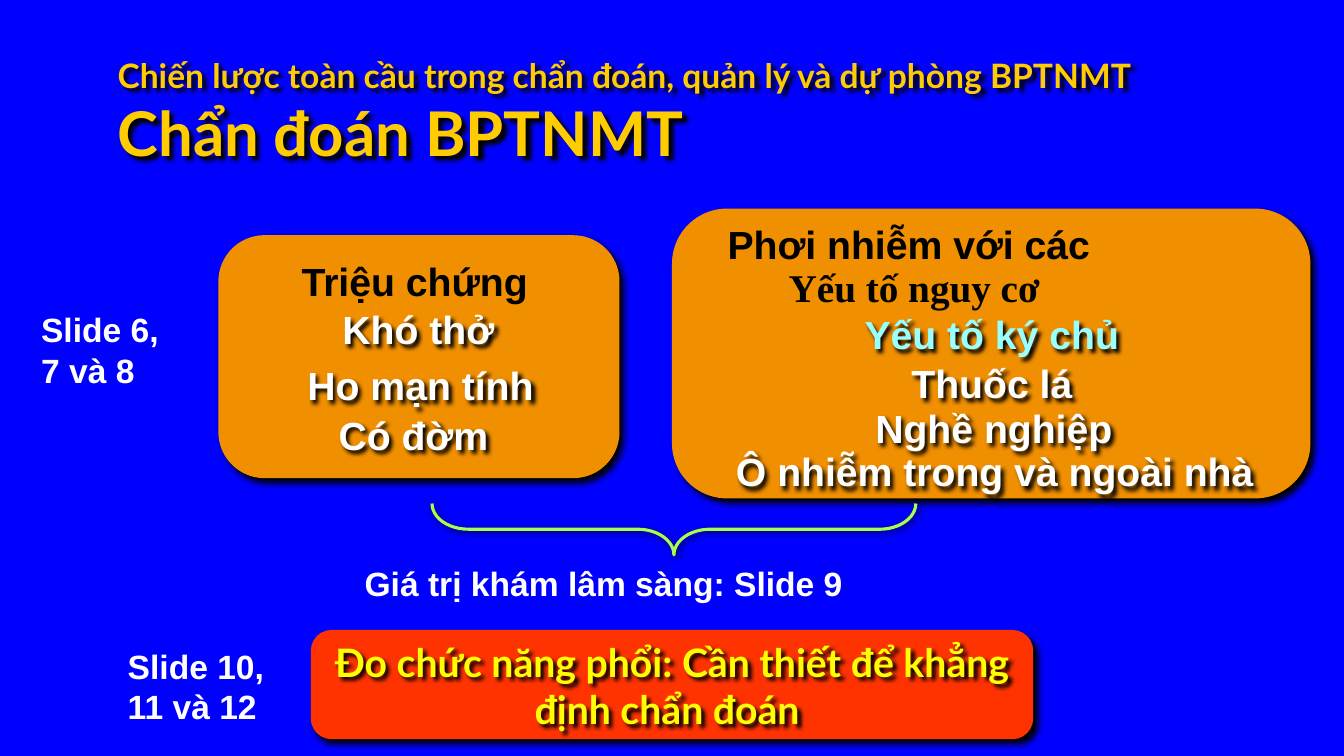
from dataclasses import dataclass

from lxml import etree
from pptx import Presentation
from pptx import util as u
from pptx.dml.color import RGBColor
from pptx.enum import shapes, text
from pptx.oxml.ns import qn

BLACK, WHITE, BLUE = "000000", "FFFFFF", "0000FF"
ORANGE, RED, GOLD = "F08F00", "FF3300", "FFCC00"
YELLOW, CYAN, LIME = "FFFF00", "99FFFF", "A5FF4B"
CENTER, LEFT = text.PP_ALIGN.CENTER, text.PP_ALIGN.LEFT


@dataclass(frozen=True)
class Line:
    text: str
    size: float = 28
    font: str = "Arial"


@dataclass(frozen=True)
class Panel:
    left: float
    top: float
    width: float
    height: float
    color: str


@dataclass(frozen=True)
class Label:
    left: float
    top: float
    width: float
    height: float
    lines: tuple[Line, ...]
    color: str = WHITE
    align: text.PP_ALIGN = CENTER
    wrap: bool = False
    shadow: bool = True
    padded: bool = False
    spacing: float = 1.0


def item(left: float, top: float, width: float, words: str,
         color: str = WHITE, shadow: bool = True) -> Label:
    """A one-line entry inside a panel."""
    return Label(left, top, width, 33.6, (Line(words),), color, shadow=shadow)


def slide_ref(left: float, top: float, width: float, height: float, words: str) -> Label:
    """A note that points to other slides."""
    return Label(left, top, width, height, (Line(words, 24),), align=LEFT,
                 wrap=True, shadow=False, padded=True)


PANELS = (
    Panel(222, 450, 516, 78, RED),
    Panel(156, 168, 286.5, 173.5, ORANGE),
    Panel(480, 149, 456, 207, ORANGE),
)
LABELS = (
    Label(84, 38.9, 852, 82,
          (Line("Chiến lược toàn cầu trong chẩn đoán, quản lý và dự phòng BPTNMT", 24, "Lato"),
           Line("Chẩn đoán BPTNMT", 44, "Lato")), GOLD, LEFT, wrap=True),
    item(214.5, 183.6, 163.4, "Triệu chứng", BLACK, shadow=False),
    item(244, 218.2, 109.5, "Khó thở"),
    item(219.4, 257.8, 162, "Ho mạn tính"),
    item(241.8, 293.8, 107, "Có đờm"),
    Label(518.4, 161.3, 269.3, 61.2,
          (Line("Phơi nhiễm với các "), Line("Yếu tố nguy cơ", font="Times New Roman")),
          BLACK, shadow=False, spacing=0.9),
    item(616.3, 221.8, 184.3, "Yếu tố ký chủ", CYAN),
    item(650.2, 257, 116.6, "Thuốc lá"),
    item(624.2, 288.7, 171.4, "Nghề nghiệp"),
    item(523.4, 319.7, 374.4, "Ô nhiễm trong và ngoài nhà"),
    Label(216, 455.8, 527.8, 67,
          (Line("Đo chức năng phổi: Cần thiết để khẳng định chẩn đoán ", font="Lato"),),
          YELLOW, wrap=True),
    slide_ref(22.3, 217.4, 100.8, 65.5, "Slide 6, 7 và 8"),
    slide_ref(253.4, 398.9, 484.6, 36, "Giá trị khám lâm sàng: Slide 9"),
    slide_ref(84.2, 457.9, 122.4, 65.5, "Slide 10, 11 và 12"),
)


def rgb(color: str) -> RGBColor:
    return RGBColor.from_string(color)


def cast_shadow(sp, distance: float, blur: float = 5, opacity: int = 100) -> None:
    sp.shadow.inherit = False
    effects = sp._element.spPr.find(qn("a:effectLst"))
    outer = etree.SubElement(effects, qn("a:outerShdw"), blurRad=str(u.Pt(blur)),
                             dist=str(u.Pt(distance)), dir="2700000",
                             algn="ctr", rotWithShape="0")
    color = etree.SubElement(outer, qn("a:srgbClr"), val=BLACK)
    etree.SubElement(color, qn("a:alpha"), val=str(opacity * 1000))


def draw_panel(s, panel: Panel) -> None:
    sp = s.shapes.add_shape(shapes.MSO_SHAPE.ROUNDED_RECTANGLE, u.Pt(panel.left),
                            u.Pt(panel.top), u.Pt(panel.width), u.Pt(panel.height))
    sp.adjustments[0] = 0.19
    sp.fill.solid()
    sp.fill.fore_color.rgb = rgb(panel.color)
    sp.line.fill.background()
    cast_shadow(sp, 4.2)


def draw_brace(s) -> None:
    sp = s.shapes.add_shape(shapes.MSO_SHAPE.RIGHT_BRACE, u.Pt(463), u.Pt(205.2),
                            u.Pt(36.7), u.Pt(345.6))
    sp.rotation = 90
    sp.adjustments[0] = 0.706
    sp.adjustments[1] = 0.5
    sp.fill.background()
    sp.line.color.rgb = rgb(LIME)
    sp.line.width = u.Pt(2.25)
    cast_shadow(sp, 1.4, opacity=75)


def draw_label(s, label: Label) -> None:
    sp = s.shapes.add_textbox(u.Pt(label.left), u.Pt(label.top),
                              u.Pt(label.width), u.Pt(label.height))
    tf = sp.text_frame
    tf.word_wrap = label.wrap
    if not label.padded:
        tf.margin_left = tf.margin_right = tf.margin_top = tf.margin_bottom = 0
    tf.text = "\n".join(line.text for line in label.lines)
    for p, line in zip(tf.paragraphs, label.lines):
        p.alignment = label.align
        p.line_spacing = label.spacing
        for r in p.runs:
            r.font.name = line.font
            r.font.size = u.Pt(line.size)
            r.font.bold = True
            r.font.color.rgb = rgb(label.color)
    if label.shadow:
        cast_shadow(sp, 3, blur=3)


def main() -> None:
    prs = Presentation()
    prs.slide_width, prs.slide_height = u.Pt(960), u.Pt(540)
    s = prs.slides.add_slide(prs.slide_layouts[6])
    s.background.fill.solid()
    s.background.fill.fore_color.rgb = rgb(BLUE)
    for panel in PANELS:
        draw_panel(s, panel)
    draw_brace(s)
    for label in LABELS:
        draw_label(s, label)
    prs.save("out.pptx")


if __name__ == "__main__":
    main()
